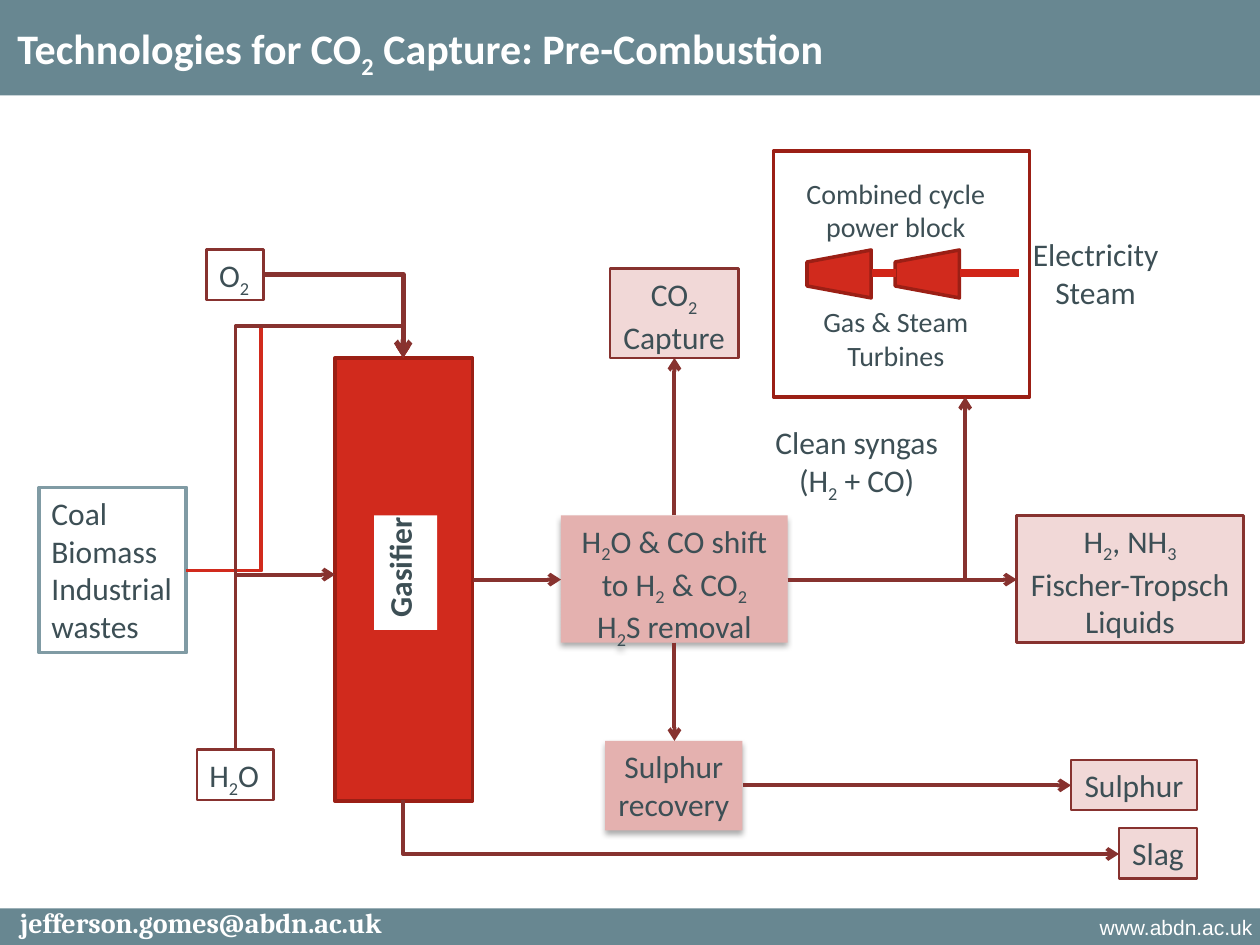
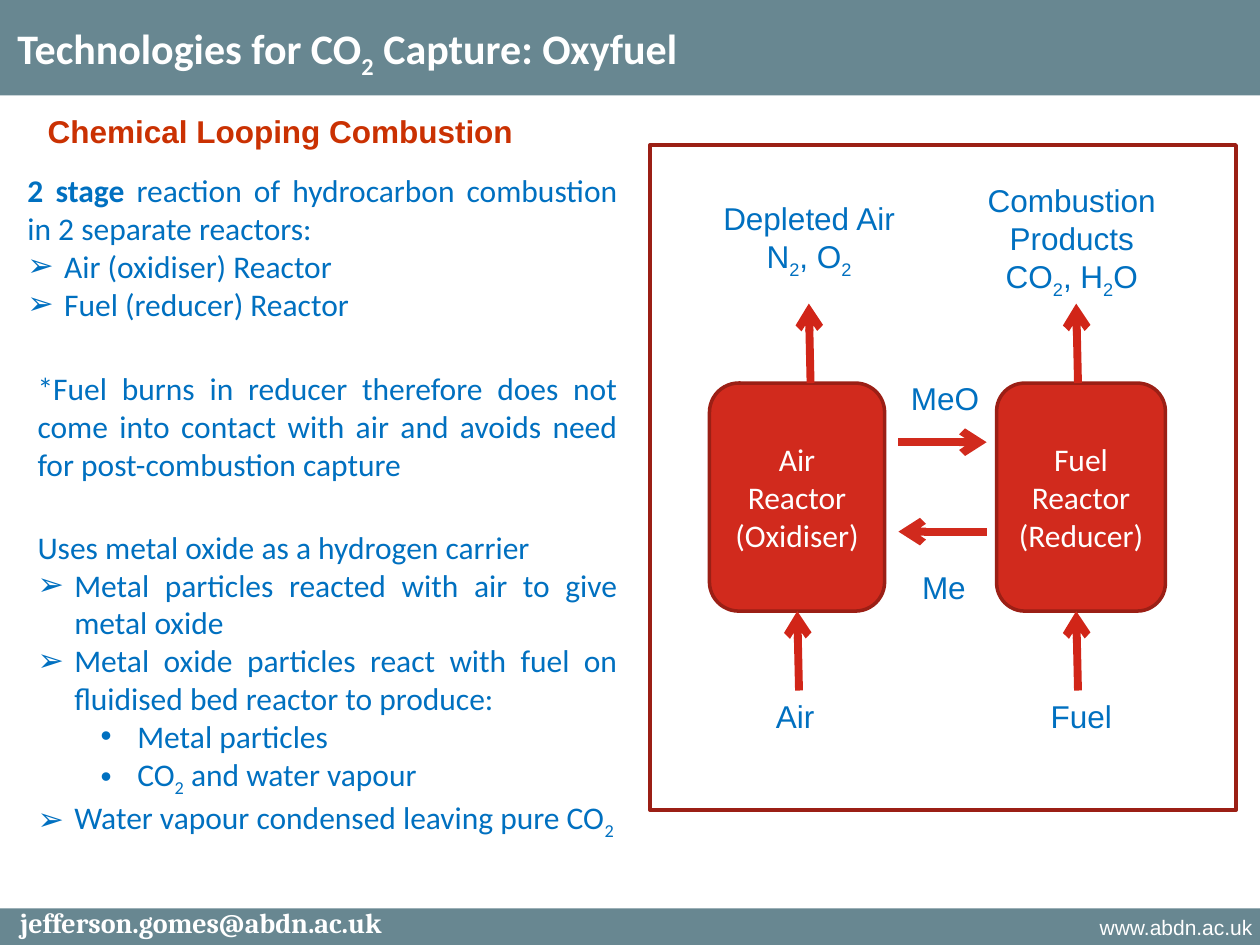
from dataclasses import dataclass

from lxml import etree
from pptx import Presentation
from pptx.dml import color
from pptx.enum import shapes, text
from pptx.oxml import ns
from pptx.util import Pt

BAND = "688791"
WHITE = "FFFFFF"
SLATE = "3D4F55"
RED = "D12A1D"
SHAFT = "D12518"
DARK_RED = "9B1F15"
MAROON = "87322F"
ROSE = "E4B1AF"
BLUSH = "F1D8D7"
BLUE = "0070C0"

LEFT = text.PP_ALIGN.LEFT
CENTER = text.PP_ALIGN.CENTER
RIGHT = text.PP_ALIGN.RIGHT
JUSTIFY = text.PP_ALIGN.JUSTIFY
RECTANGLE = shapes.MSO_SHAPE.RECTANGLE
ROUNDED = shapes.MSO_SHAPE.ROUNDED_RECTANGLE
TRAPEZOID = shapes.MSO_SHAPE.TRAPEZOID

BULLET_MARGINS = {"➢": 21, "•": 57}
BULLET_HANG = 21


@dataclass(frozen=True)
class Style:
    font: str = "Calibri"
    size: float = 18
    color: str = SLATE
    bold: bool = False
    align: text.PP_ALIGN = LEFT
    spacing: float = 1.0


@dataclass(frozen=True)
class Box:
    left: float
    top: float
    width: float
    height: float
    lines: tuple[str, ...] = ()
    style: Style = Style()
    fill: str = ""
    line: str = ""
    weight: float = 1.5
    wrap: bool = True
    middle: bool = False
    upward: bool = False
    shadow: bool = False
    kind: shapes.MSO_SHAPE = RECTANGLE
    rotation: float = 0


@dataclass(frozen=True)
class Route:
    points: tuple[tuple[float, float], ...]
    color: str = MAROON
    weight: float = 2.25
    arrow: bool = True


LABEL = Style()
CENTERED = Style(align=CENTER)
POWER = Style(size=16, align=CENTER)
BODY = Style(color=BLUE, align=JUSTIFY)
LOOP = Style(font="Arial", color=BLUE)
LOOP_CENTERED = Style(font="Arial", color=BLUE, align=CENTER)
REACTOR = Style(color=WHITE, align=CENTER)
TITLE = Style(size=24, color=WHITE, bold=True)
HEADING = Style(font="Arial", color="CA3102", bold=True)
EMAIL = Style("Cambria", 16, WHITE, True, CENTER, 0.9)
WEBSITE = Style("Arial", 12, WHITE, align=RIGHT)


def rgb(value: str) -> color.RGBColor:
    return color.RGBColor.from_string(value)


def add_child(parent, tag: str, **attributes):
    child = etree.SubElement(parent, ns.qn(tag))
    for name, value in attributes.items():
        child.set(name, str(value))
    return child


def add_bullet(para, mark: str, tint: str) -> None:
    properties = para._p.get_or_add_pPr()
    properties.set("marL", str(Pt(BULLET_MARGINS[mark])))
    properties.set("indent", str(-Pt(BULLET_HANG)))
    add_child(add_child(properties, "a:buClr"), "a:srgbClr", val=tint)
    add_child(properties, "a:buFont", typeface="Arial")
    add_child(properties, "a:buChar", char=mark)


def add_span(para, words: str, bold: bool = False, subscript: bool = False) -> None:
    if not words:
        return
    span = para.add_run()
    span.text = words
    if bold:
        span.font.bold = True
    if subscript:
        span._r.get_or_add_rPr().set("baseline", "-25000")


def write_line(para, line: str, style: Style) -> None:
    para.alignment = style.align
    if style.spacing != 1:
        para.line_spacing = style.spacing
    if line[0] in BULLET_MARGINS:
        add_bullet(para, line[0], style.color)
        line = line[1:]
    font = para.font
    font.name = style.font
    font.size = Pt(style.size)
    font.bold = style.bold
    font.color.rgb = rgb(style.color)
    lead, mark, rest = line.rpartition("|")
    add_span(para, lead, bold=bool(mark))
    plain, *indexed = rest.split("_")
    add_span(para, plain)
    for part in indexed:
        add_span(para, part[0], subscript=True)
        add_span(para, part[1:])


def write_text(frame, item: Box) -> None:
    frame.word_wrap = item.wrap
    frame.vertical_anchor = text.MSO_ANCHOR.MIDDLE if item.middle else text.MSO_ANCHOR.TOP
    frame.auto_size = text.MSO_AUTO_SIZE.NONE if item.middle else text.MSO_AUTO_SIZE.SHAPE_TO_FIT_TEXT
    if item.upward:
        frame._txBody.bodyPr.set("vert", "vert270")
    for index, line in enumerate(item.lines):
        para = frame.add_paragraph() if index else frame.paragraphs[0]
        write_line(para, line, item.style)


def draw_box(page, item: Box) -> None:
    area = [Pt(v) for v in (item.left, item.top, item.width, item.height)]
    if not (item.fill or item.line):
        write_text(page.shapes.add_textbox(*area).text_frame, item)
        return
    box = page.shapes.add_shape(item.kind, *area)
    box.rotation = item.rotation
    box.shadow.inherit = False
    if item.fill:
        box.fill.solid()
        box.fill.fore_color.rgb = rgb(item.fill)
    else:
        box.fill.background()
    if item.line:
        box.line.color.rgb = rgb(item.line)
        box.line.width = Pt(item.weight)
    else:
        box.line.fill.background()
    if item.shadow:
        effects = box._element.spPr.find(ns.qn("a:effectLst"))
        shade = add_child(effects, "a:outerShdw", blurRad=Pt(3.5), dist=Pt(2.2), dir=5400000, rotWithShape=0)
        add_child(add_child(shade, "a:srgbClr", val="000000"), "a:alpha", val=32000)
    if item.lines:
        write_text(box.text_frame, item)


def draw_route(page, route: Route) -> None:
    points = [(Pt(x), Pt(y)) for x, y in route.points]
    if len(points) == 2:
        path = page.shapes.add_connector(shapes.MSO_CONNECTOR.STRAIGHT, *points[0], *points[1])
        add_child(path._element.spPr, "a:effectLst")
    else:
        builder = page.shapes.build_freeform(*points[0])
        builder.add_line_segments(points[1:], close=False)
        path = builder.convert_to_shape()
        path.fill.background()
        path.shadow.inherit = False
    path.line.color.rgb = rgb(route.color)
    path.line.width = Pt(route.weight)
    if route.arrow:
        add_child(path.line._get_or_add_ln(), "a:tailEnd", type="arrow")


def add_page(deck, title: str, title_width: float, boxes: list[Box], routes: list[Route]) -> None:
    page = deck.slides.add_slide(deck.slide_layouts[6])
    frame = [
        Box(0, 519.1, 720, 20.9, fill=BAND),
        Box(0, 0, 720, 54.6, fill=BAND),
        Box(535.7, 519.1, 187.2, 25.9, ("www.abdn.ac.uk",), WEBSITE),
        Box(2.9, 9.4, title_width, 36, (f"Technologies for CO_2 Capture: {title}",), TITLE, wrap=False),
        Box(0, 516.2, 229.7, 23.8, ("jefferson.gomes@abdn.ac.uk",), EMAIL),
    ]
    for item in frame + boxes:
        draw_box(page, item)
    for route in routes:
        draw_route(page, route)


def pre_combustion(deck) -> None:
    flow_y, gasifier_x, shift_x, shaft_y = 331.2, 230.4, 385.4, 156.2
    water_x, coal_x, loop_y, gasifier_top = 134.6, 149.3, 186.5, 204.5
    product = dict(style=CENTERED, fill=BLUSH, line=MAROON)
    process = dict(style=CENTERED, fill=ROSE, shadow=True)
    feed = dict(line=MAROON, wrap=False)
    boxes = [
        Box(191.5, gasifier_top, 78.5, 253.4, fill=RED, line=DARK_RED, weight=2),
        Box(213.8, 294.5, 36, 65.5, ("Gasifier",), Style(bold=True), fill=WHITE, wrap=False, upward=True),
        Box(118.1, 142.6, 32.4, 28.8, ("O_2",), **feed),
        Box(112.5, 428.4, 43.9, 28.8, ("H_2O",), **feed),
        Box(22.3, 278.6, 84.2, 94.3, ("Coal", "Biomass", "Industrial wastes"), line="809BA4", weight=2.25),
        Box(345.8, 423.4, 78.5, 51.1, ("Sulphur recovery",), **process),
        Box(320.6, 294.5, 129.6, 72.7, ("H_2O & CO shift to H_2 & CO_2", "H_2S removal"), **process),
        Box(612, 434.2, 72, 28.8, ("Sulphur",), wrap=False, **product),
        Box(581, 294.5, 129.6, 72.7, ("H_2, NH_3", "Fischer-Tropsch Liquids"), **product),
        Box(639.4, 473.2, 44.6, 28.8, ("Slag",), wrap=False, **product),
        Box(348.5, 153.4, 73.4, 51.1, ("CO_2", "Capture"), wrap=False, **product),
        Box(582.5, 131, 87.1, 51.1, ("Electricity", "Steam"), CENTERED, wrap=False),
        Box(452.9, 97.2, 118.1, 46.1, ("Combined cycle power block",), POWER),
        Box(455.8, 170.6, 112.3, 46.1, ("Gas & Steam Turbines",), POWER),
        Box(442.1, 86.4, 146.2, 140.4, line=DARK_RED, weight=2),
        Box(433.4, 238.3, 112.3, 51.1, ("Clean syngas (H_2 + CO)",), CENTERED),
    ]
    boxes += [
        Box(left, 138.2, 27.4, 36.7, fill=RED, line=DARK_RED, weight=2, kind=TRAPEZOID, rotation=270)
        for left in (465.8, 516.2)
    ]
    routes = [
        Route(((498.2, shaft_y), (511.9, shaft_y)), SHAFT, 4.5, False),
        Route(((548.6, shaft_y), (582.5, shaft_y)), SHAFT, 4.5, False),
        Route(((151.2, 157), (gasifier_x, 157), (gasifier_x, gasifier_top)), weight=3),
        Route(((106.5, 326), (coal_x, 326), (coal_x, loop_y), (gasifier_x, loop_y), (gasifier_x, gasifier_top)), RED),
        Route(((water_x, 425.5), (water_x, 328.3), (191.5, 328.3))),
        Route(((water_x, 428.4), (water_x, loop_y), (gasifier_x, loop_y), (gasifier_x, gasifier_top))),
        Route(((270, flow_y), (320.6, flow_y))),
        Route(((shift_x, 367.2), (shift_x, 423.4))),
        Route(((424.5, 448.8), (612, 448.8))),
        Route(((gasifier_x, 457.4), (gasifier_x, 488), (639.4, 488))),
        Route(((450, flow_y), (581, flow_y))),
        Route(((shift_x, 294.5), (shift_x, 204.5))),
        Route(((450, flow_y), (551.5, flow_y), (551.5, 226.8))),
    ]
    add_page(deck, "Pre-Combustion", 486, boxes, routes)


def oxyfuel(deck) -> None:
    reactor = dict(style=REACTOR, fill=RED, line=DARK_RED, weight=2, middle=True, kind=ROUNDED)
    carrier_lines = (
        "Uses metal oxide as a hydrogen carrier",
        "➢Metal particles reacted with air to give metal oxide",
        "➢Metal oxide particles react with fuel on fluidised bed reactor to produce:",
        "•Metal particles",
        "•CO_2 and water vapour",
        "➢Water vapour condensed leaving pure CO_2",
    )
    stage_lines = (
        "2 stage |reaction of hydrocarbon combustion in 2 separate reactors:",
        "➢Air (oxidiser) Reactor",
        "➢Fuel (reducer) Reactor",
    )
    fuel_line = (
        "*Fuel burns in reducer therefore does not come into contact with air "
        "and avoids need for post-combustion capture"
    )
    boxes = [
        Box(20.2, 60.5, 283, 28.8, ("Chemical Looping Combustion",), HEADING, wrap=False),
        Box(8.6, 94.3, 351.4, 94.3, stage_lines, BODY),
        Box(14.4, 207.4, 345.6, 72.7, (fuel_line,), BODY),
        Box(14.4, 298.1, 345.6, 181.4, carrier_lines, BODY),
        Box(371.5, 82.8, 334.8, 380.2, fill=WHITE, line=DARK_RED, weight=2),
        Box(405.4, 218.9, 100.1, 130.3, ("Air Reactor", "(Oxidiser)"), **reactor),
        Box(569.5, 218.9, 96.5, 130.3, ("Fuel Reactor", "(Reducer)"), **reactor),
        Box(513.4, 213.1, 54, 28.8, ("MeO",), LOOP, wrap=False),
        Box(519.8, 321.1, 39.6, 28.8, ("Me",), LOOP, wrap=False),
        Box(405.4, 110.2, 113.8, 51.1, ("Depleted Air", "N_2, O_2"), LOOP_CENTERED, wrap=False),
        Box(436.3, 394.6, 36.7, 28.8, ("Air",), LOOP, wrap=False),
        Box(593.3, 394.6, 49.7, 28.8, ("Fuel",), LOOP, wrap=False),
        Box(553, 100.1, 118.8, 72.7, ("Combustion Products", "CO_2, H_2O"), LOOP_CENTERED),
    ]
    routes = [
        Route(((513.4, 252.7), (563.8, 252.7)), RED, 4.5),
        Route(((563.8, 303.8), (513.4, 303.8)), RED, 4.5),
    ]
    routes += [
        Route(((x + 1, top + 45.4), (x, top)), SHAFT, 4.5)
        for x, top in ((455.6, 349.2), (615, 349.2), (462.2, 173.5), (615, 173.5))
    ]
    add_page(deck, "Oxyfuel", 401.8, boxes, routes)


def main() -> None:
    deck = Presentation()
    deck.slide_width = Pt(720)
    deck.slide_height = Pt(540)
    pre_combustion(deck)
    oxyfuel(deck)
    deck.save("out.pptx")


if __name__ == "__main__":
    main()
